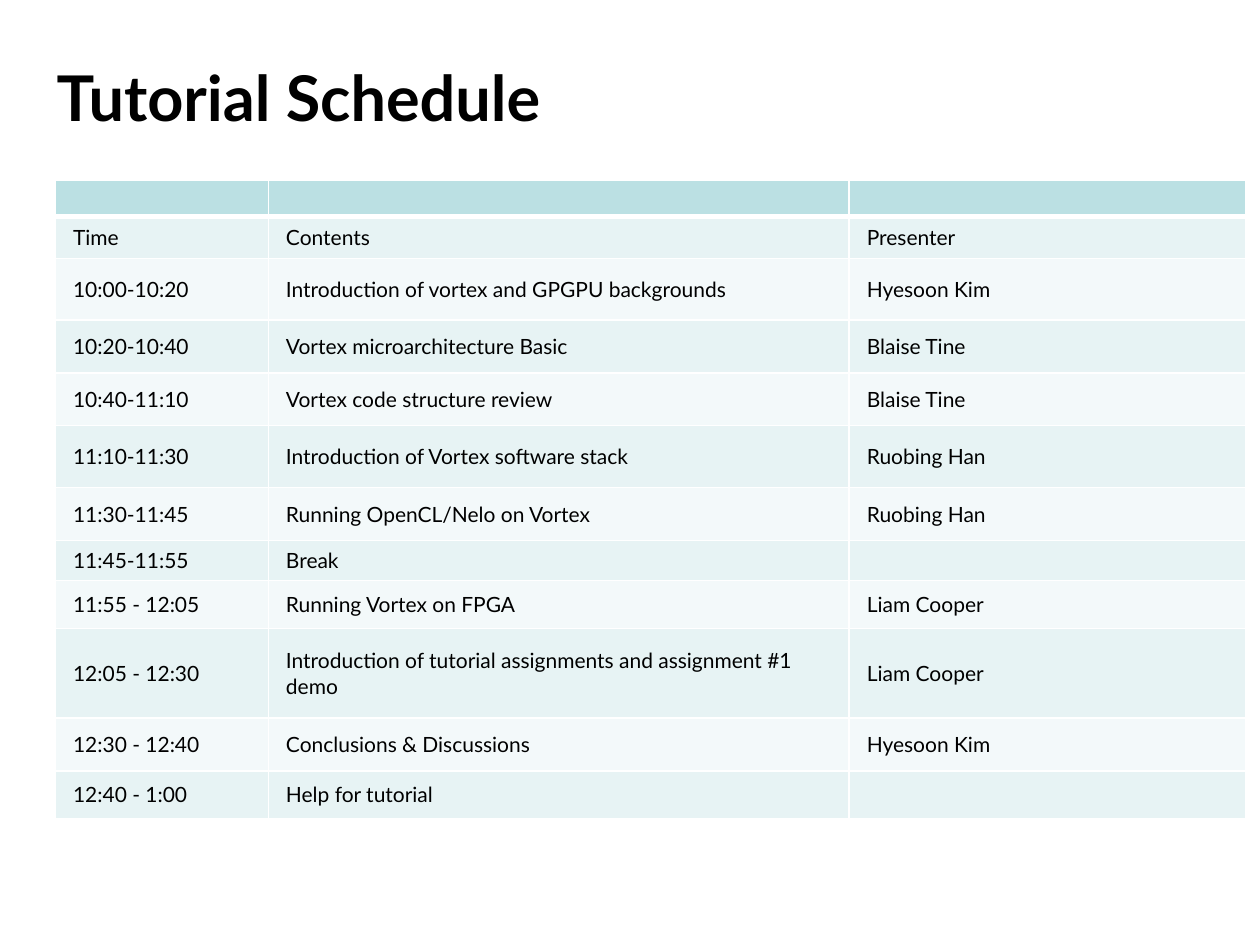
from lxml.etree import SubElement
from pptx import Presentation
from pptx.dml.color import RGBColor
from pptx.enum.text import MSO_ANCHOR, PP_ALIGN
from pptx.oxml.ns import qn
from pptx.util import Inches, Pt

FONT = "Lato"
BLACK = RGBColor(0x00, 0x00, 0x00)
WHITE = RGBColor(0xFF, 0xFF, 0xFF)
HEADER_FILL = RGBColor(0xBB, 0xE0, 0xE3)
BAND_FILLS = (RGBColor(0xF3, 0xF9, 0xFA), RGBColor(0xE7, 0xF3, 0xF4))

COLUMN_WIDTHS = (1.69, 4.61, 3.15)
# Row height in inches, then time, contents and presenter
SCHEDULE = (
    (0.29, "", "", ""),
    (0.33, "Time", "Contents", "Presenter"),
    (0.49, "10:00-10:20", "Introduction of vortex and GPGPU backgrounds", "Hyesoon Kim"),
    (0.42, "10:20-10:40", "Vortex microarchitecture Basic", "Blaise Tine"),
    (0.42, "10:40-11:10", "Vortex code structure review", "Blaise Tine"),
    (0.49, "11:10-11:30", "Introduction of Vortex software stack", "Ruobing Han"),
    (0.42, "11:30-11:45", "Running OpenCL/Nelo on Vortex", "Ruobing Han"),
    (0.32, "11:45-11:55", "Break", ""),
    (0.38, "11:55 - 12:05", "Running Vortex on FPGA", "Liam Cooper"),
    (0.71, "12:05 - 12:30",
     "Introduction of tutorial assignments and assignment #1 demo", "Liam Cooper"),
    (0.42, "12:30 - 12:40", "Conclusions & Discussions", "Hyesoon Kim"),
    (0.38, "12:40 - 1:00", "Help for tutorial", ""),
)


def add_run(paragraph, text, size, bold=False):
    run = paragraph.add_run()
    run.text = text
    run.font.name = FONT
    run.font.size = Pt(size)
    run.font.bold = bold
    run.font.color.rgb = BLACK


def set_borders(cell, widths):
    """Draw white borders; widths maps each side (L, R, T, B) to points."""
    properties = cell._tc.get_or_add_tcPr()
    for side, width in widths.items():
        line = SubElement(properties, qn(f"a:ln{side}"), w=str(Pt(width)))
        fill = SubElement(line, qn("a:solidFill"))
        SubElement(fill, qn("a:srgbClr"), val=str(WHITE))


def fill_cell(cell, text):
    cell.vertical_anchor = MSO_ANCHOR.MIDDLE
    cell.margin_left = cell.margin_right = Inches(0.14)
    cell.margin_top = cell.margin_bottom = Inches(0.06 if text else 0.04)
    paragraph = cell.text_frame.paragraphs[0]
    if text:
        add_run(paragraph, text, 12)
    else:
        # Keeps an empty cell from stretching its row
        SubElement(paragraph._p, qn("a:endParaRPr"), sz="1200")


def place_title(slide, left, top, width, height):
    title = slide.shapes.title
    title.left, title.top, title.width, title.height = left, top, width, height
    title.text_frame.vertical_anchor = MSO_ANCHOR.MIDDLE
    paragraph = title.text_frame.paragraphs[0]
    paragraph.alignment = PP_ALIGN.LEFT
    add_run(paragraph, "Tutorial Schedule", 36, bold=True)


def add_schedule(slide, left, top, width, height):
    table = slide.shapes.add_table(
        len(SCHEDULE), len(COLUMN_WIDTHS), left, top, width, height).table
    for column, column_width in zip(table.columns, COLUMN_WIDTHS):
        column.width = Inches(column_width)
    for index, (row_height, *texts) in enumerate(SCHEDULE):
        row = table.rows[index]
        row.height = Inches(row_height)
        widths = {"L": 1, "R": 1,
                  "T": 3 if index == 1 else 1,
                  "B": 3 if index == 0 else 1}
        for cell, text in zip(row.cells, texts):
            fill_cell(cell, text)
            set_borders(cell, widths)
            cell.fill.solid()
            cell.fill.fore_color.rgb = BAND_FILLS[index % 2] if index else HEADER_FILL


def main():
    presentation = Presentation()
    presentation.slide_width = Inches(10)
    presentation.slide_height = Inches(7.5)
    slide = presentation.slides.add_slide(presentation.slide_layouts[5])
    place_title(slide, Inches(0.35), Inches(0.35), Inches(9), Inches(0.83))
    add_schedule(slide, Inches(0.44), Inches(1.43),
                 Inches(sum(COLUMN_WIDTHS)), Inches(sum(row[0] for row in SCHEDULE)))
    presentation.save("out.pptx")


if __name__ == "__main__":
    main()
